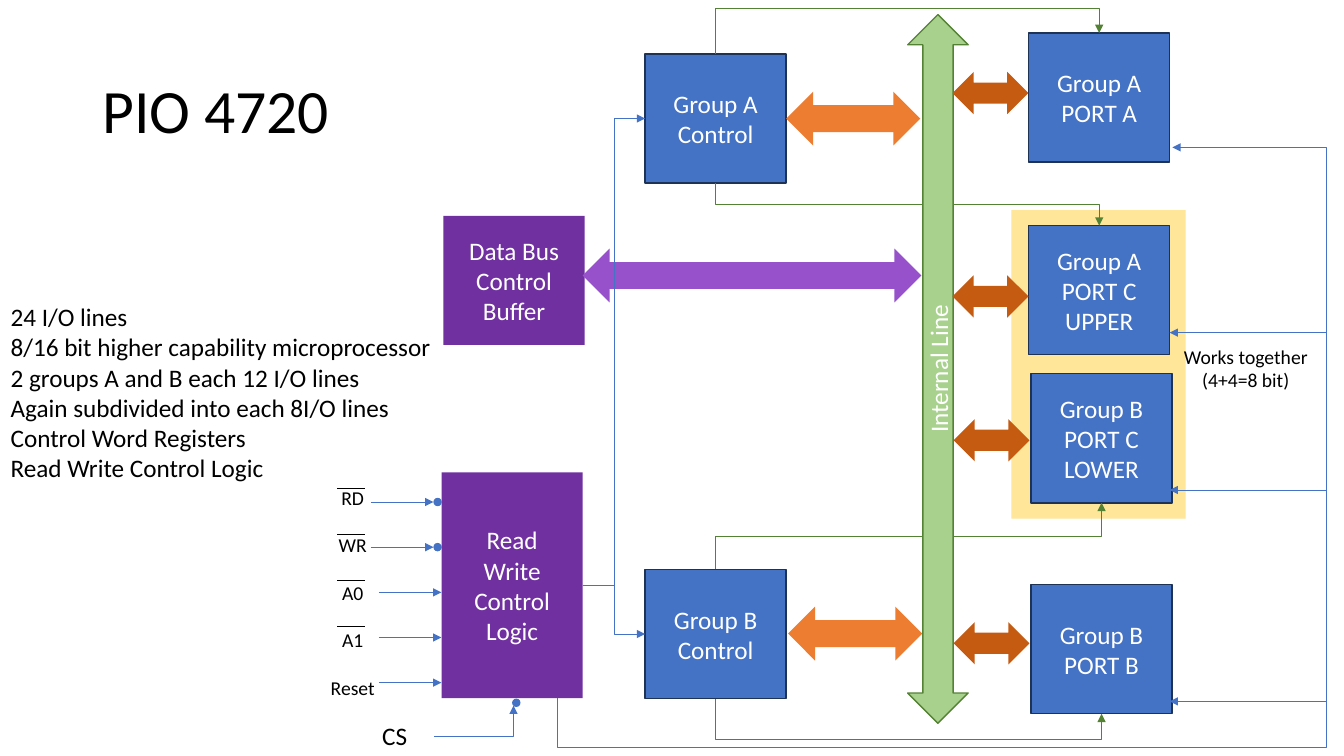
import pptx
import pptx.util
import pptx.dml.color
import pptx.enum.shapes
import pptx.enum.text
import pptx.oxml
import pptx.oxml.ns

Pt = pptx.util.Pt
SHAPE = pptx.enum.shapes.MSO_SHAPE
CONNECTOR = pptx.enum.shapes.MSO_CONNECTOR
ALIGN = pptx.enum.text.PP_ALIGN
ANCHOR = pptx.enum.text.MSO_ANCHOR

COLORS = {
    "blue": "4472C4", "navy": "1E3256", "purple": "7030A0", "violet": "9751CB",
    "orange": "ED7D31", "rust": "C55A11", "yellow": "FFE699", "lime": "A9D18E",
    "green": "548235", "black": "000000", "white": "FFFFFF",
}
BLOCK_W, BLOCK_H = 100.8, 92.2
TOP, LEFT, BOTTOM, RIGHT = range(4)  # connection sites of a rectangle


def rgb(name):
    return pptx.dml.color.RGBColor.from_string(COLORS[name])


def write(sp, lines, size, color, align=ALIGN.CENTER, anchor=ANCHOR.MIDDLE, gap=0):
    tf = sp.text_frame
    tf.vertical_anchor = anchor
    for i, line in enumerate(lines):
        p = tf.paragraphs[0] if i == 0 else tf.add_paragraph()
        p.text = line
        p.alignment = align
        if i and gap:
            p.space_before = Pt(gap)
        p.font.size = Pt(size)
        p.font.name = "Calibri"
        p.font.color.rgb = rgb(color)


def add_text(s, x, y, w, h, lines, size, align=ALIGN.CENTER, anchor=ANCHOR.TOP,
             wrap=True, gap=0):
    sp = s.shapes.add_textbox(Pt(x), Pt(y), Pt(w), Pt(h))
    sp.text_frame.word_wrap = wrap
    write(sp, lines, size, "black", align, anchor, gap)
    return sp


def add_shape(s, kind, x, y, w, h, fill, line=None):
    sp = s.shapes.add_shape(kind, Pt(x), Pt(y), Pt(w), Pt(h))
    sp.shadow.inherit = False
    sp.fill.solid()
    sp.fill.fore_color.rgb = rgb(fill)
    if line:
        sp.line.color.rgb = rgb(line)
        sp.line.width = Pt(1)
    else:
        sp.line.fill.background()
    return sp


def add_block(s, x, y, lines, fill="blue", line="navy", h=BLOCK_H):
    sp = add_shape(s, SHAPE.RECTANGLE, x, y, BLOCK_W, h, fill, line)
    write(sp, lines, 18, "white")
    return sp


def add_double_arrow(s, x, y, w, h, fill, line=None):
    return add_shape(s, SHAPE.LEFT_RIGHT_ARROW, x, y, w, h, fill, line)


def add_dot(s, x, y):
    add_shape(s, SHAPE.OVAL, x, y, 6, 6, "blue")


def add_line(s, start, end, color="blue", arrow=True, kind=CONNECTOR.STRAIGHT):
    c = s.shapes.add_connector(kind, *(Pt(v) for v in start + end))
    c.line.color.rgb = rgb(color)
    c.line.width = Pt(0.5)
    if arrow:
        tail = pptx.oxml.parse_xml(
            f'<a:tailEnd {pptx.oxml.ns.nsdecls("a")} type="triangle"/>')
        c.line._get_or_add_ln().append(tail)
    c._element.spPr.append(
        pptx.oxml.parse_xml(f'<a:effectLst {pptx.oxml.ns.nsdecls("a")}/>'))
    return c


def add_elbow(s, start, end, color="blue"):
    return add_line(s, start, end, color, kind=CONNECTOR.ELBOW)


def join(s, source, source_site, target, target_site, color="blue"):
    """Glue an elbow arrow to two blocks."""
    c = add_elbow(s, (0, 0), (0, 0), color)
    c.begin_connect(source, source_site)
    c.end_connect(target, target_site)
    return c


def set_bends(c, preset, *bends):
    """Choose the elbow preset and its bend positions, as fractions."""
    geom = c._element.spPr.find(pptx.oxml.ns.qn("a:prstGeom"))
    geom.set("prst", preset)
    guides = "".join(f'<a:gd name="adj{i}" fmla="val {round(b * 100000)}"/>'
                     for i, b in enumerate(bends, 1))
    for old in list(geom):
        geom.remove(old)
    geom.append(pptx.oxml.parse_xml(
        f'<a:avLst {pptx.oxml.ns.nsdecls("a")}>{guides}</a:avLst>'))


def start_vertically(c):
    """Turn an elbow that runs to the right so that it leaves up or down."""
    x1, y1, x2, y2 = c.begin_x, c.begin_y, c.end_x, c.end_y
    w, h = abs(y2 - y1), abs(x2 - x1)
    c.left, c.top = (x1 + x2 - w) // 2, (y1 + y2 - h) // 2
    c.width, c.height = w, h
    up = y2 < y1
    xfrm = c._element.spPr.xfrm
    xfrm.set("rot", str((90 if up else 270) * 60000))
    xfrm.set("flipH", "1")
    xfrm.set("flipV", "1" if up else "0")


def add_inputs(s):
    """Input signals of the read/write logic."""
    add_text(s, 194.4, 343.4, 115.2, 160, ["RD", "WR", "A0", "A1", "Reset"], 14, gap=17.1)
    for i in range(5):
        y = 358.6 + 32.25 * i
        inverted = i < 2
        x = 265 if inverted else 270.7
        add_line(s, (x, y), (x + 44.6, y))
        if inverted:
            add_dot(s, 309.6, y - 3)
        if i < 4:
            bar_y = 348.6 + 32.9 * i
            add_line(s, (240.8, bar_y), (261, bar_y), "black", arrow=False)
    add_text(s, 254.2, 511, 55.4, 29.1, ["CS"], 18)
    add_dot(s, 365.8, 499)
    set_bends(add_elbow(s, (310.3, 526.3), (366.8, 504)), "bentConnector2")


def main():
    prs = pptx.Presentation()
    prs.slide_width, prs.slide_height = Pt(960), Pt(540)
    s = prs.slides.add_slide(prs.slide_layouts[6])

    title = add_text(s, 66, 28.8, 828, 104.4, ["PIO 4720"], 44, ALIGN.LEFT, ANCHOR.MIDDLE)
    title.text_frame.paragraphs[0].line_spacing = 0.9
    add_text(s, 0.5, 211.8, 318, 138, [
        "24 I/O lines",
        "8/16 bit higher capability microprocessor",
        "2 groups A and B each 12 I/O lines",
        "Again subdivided into each 8I/O lines",
        "Control Word Registers",
        "Read Write Control Logic",
    ], 18, ALIGN.LEFT, wrap=False)

    add_shape(s, SHAPE.RECTANGLE, 722.4, 150, 124.6, 220.4, "yellow")
    control_a = add_block(s, 460.8, 38.6, ["Group A", "Control"])
    control_b = add_block(s, 460.8, 406.8, ["Group B Control"])
    port_a = add_block(s, 734.8, 23.6, ["Group A", "PORT A"])
    upper_c = add_block(s, 734.8, 161.2, ["Group A", "PORT C", "UPPER"])
    lower_c = add_block(s, 736.4, 267, ["Group B", "PORT C", "LOWER"])
    port_b = add_block(s, 736.4, 417.6, ["Group B", "PORT B"])
    add_double_arrow(s, 561.6, 65.5, 95.8, 38.4, "orange")
    add_double_arrow(s, 563, 433.4, 95.8, 38.4, "orange")

    for control, port, site, bend in (
            (control_a, port_a, TOP, 2.19), (control_b, port_b, BOTTOM, 2.67)):
        c = join(s, control, site, port, site, "green")
        start_vertically(c)
        set_bends(c, "bentConnector3", bend)
    start_vertically(join(s, control_a, BOTTOM, upper_c, TOP, "green"))
    start_vertically(join(s, control_b, TOP, lower_c, BOTTOM, "green"))

    internal = add_double_arrow(s, 421.9 - 5, 241.9, 506.2, 43.2, "lime", "green")
    internal.rotation = 270
    write(internal, ["Internal Line"], 18, "white")
    for x, y in ((680.4, 51.4), (680.4, 196.6), (681.2, 299.4), (681.2, 444.4)):
        add_double_arrow(s, x, y, 54.2, 30.2, "rust")

    add_text(s, 832.3, 242.6, 115.2, 41.2, ["Works together (4+4=8 bit)"], 14)
    add_block(s, 316.8, 154.2, ["Data Bus Control", "Buffer"], "purple", None)
    add_double_arrow(s, 416.2, 177.6, 241.9, 38.4, "violet")
    logic = add_block(s, 315.4, 337.4, ["Read", "Write", "Control", "Logic"],
                      "purple", None, h=161.3)
    for control in (control_a, control_b):
        join(s, logic, RIGHT, control, LEFT)
    add_inputs(s)

    c = add_elbow(s, (398.2, 498.4), (837.4, 105.3))
    start_vertically(c)
    set_bends(c, "bentConnector4", -0.09, 1.25)
    for y in (237.6, 350, 501):
        add_line(s, (947.6, y), (835.4, y))

    prs.save("out.pptx")


if __name__ == "__main__":
    main()
